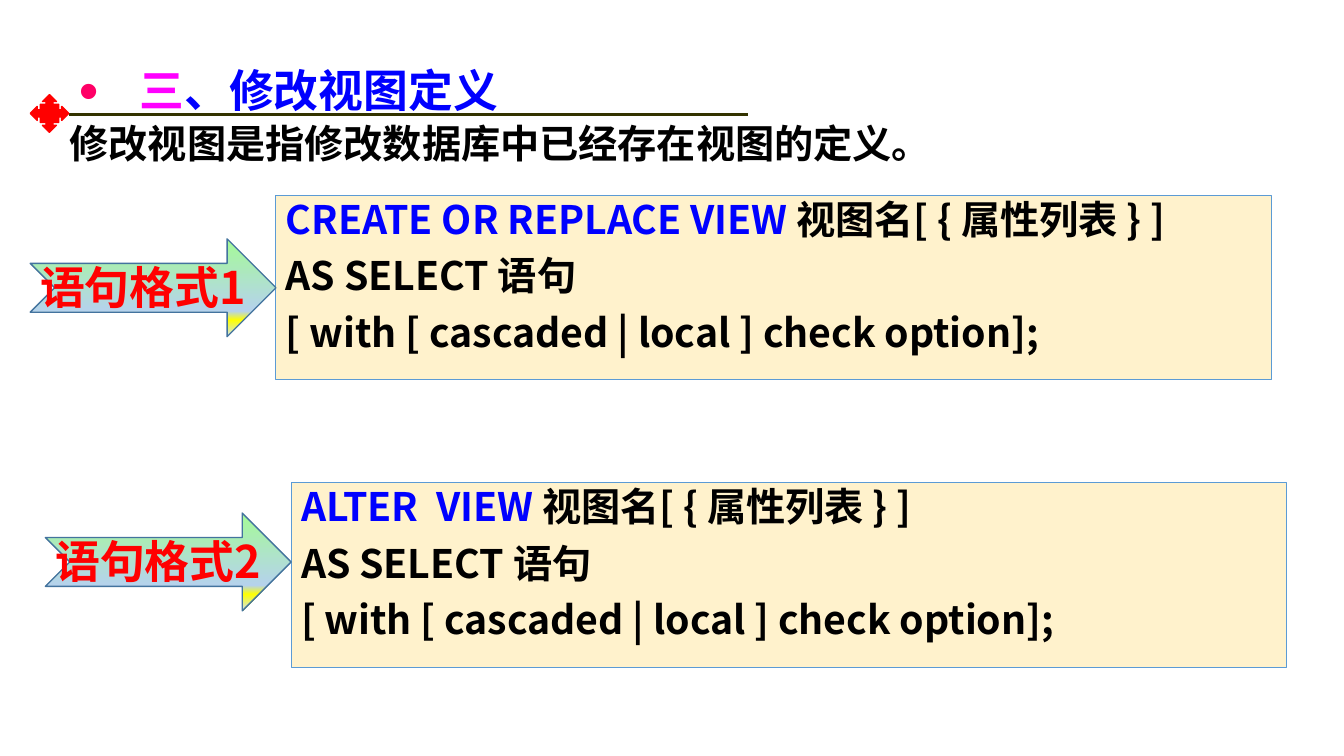
import pptx
import pptx.util
import pptx.dml.color
import pptx.enum.shapes
import pptx.enum.text
import pptx.oxml
import pptx.oxml.ns

Inches, Pt = pptx.util.Inches, pptx.util.Pt
SHAPE = pptx.enum.shapes.MSO_SHAPE
ANCHOR = pptx.enum.text.MSO_ANCHOR
NS = pptx.oxml.ns.nsdecls("a")
FONT = "Noto Sans CJK SC"
UNIT = 0.1
BLUE, BLACK, RED = "0000FF", "000000", "FF0000"
ARROW_STOPS = [(0, "A5FB97"), (74, "B5D2EC"), (83, "FFFF00"), (100, "CEE1F2")]


def color(value):
    return pptx.dml.color.RGBColor.from_string(value)


def xml(text):
    return pptx.oxml.parse_xml(text.replace(">", f" {NS}>", 1))


def within(box, x, y, w, h):
    left, top, width, height = box
    return left + x * width, top + y * height, w * width, h * height


def lengths(box):
    return [Inches(v * UNIT) for v in box]


def style(sp, line, weight, fill=None):
    sp.shadow.inherit = False
    sp.line.color.rgb = color(line)
    sp.line.width = Pt(weight)
    if fill:
        sp.fill.solid()
        sp.fill.fore_color.rgb = color(fill)


def write(sp, paragraphs, size, anchor=ANCHOR.TOP, **spacing):
    tf = sp.text_frame
    frame = {"word_wrap": True, "vertical_anchor": anchor,
             "auto_size": pptx.enum.text.MSO_AUTO_SIZE.NONE}
    for name, value in frame.items():
        setattr(tf, name, value)
    for i, runs in enumerate(paragraphs):
        p = tf.add_paragraph() if i else tf.paragraphs[0]
        p.alignment = pptx.enum.text.PP_ALIGN.LEFT
        for name, value in spacing.items():
            setattr(p, name, value)
        for text, hue in runs:
            r = p.add_run()
            r.text = text
            for name, value in {"size": Pt(size), "bold": True, "name": FONT}.items():
                setattr(r.font, name, value)
            r.font.color.rgb = color(hue)
            r.font._element.append(xml(f'<a:ea typeface="{FONT}"></a:ea>'))


def add_bullet(p, hue, percent, indent):
    pPr = p._p.get_or_add_pPr()
    pPr.set("marL", str(Inches(indent)))
    pPr.set("indent", str(-Inches(indent)))
    for part in (f'<a:buClr><a:srgbClr val="{hue}"/></a:buClr>',
                 f'<a:buSzPct val="{percent * 1000}"></a:buSzPct>',
                 '<a:buFont typeface="Arial"></a:buFont>',
                 '<a:buChar char="•"></a:buChar>'):
        pPr.append(xml(part))


def gradient(sp, stops):
    sp.fill.gradient()
    fill = sp._element.spPr.find(pptx.oxml.ns.qn("a:gradFill"))
    marks = "".join(f'<a:gs pos="{at * 1000}"><a:srgbClr val="{hue}"/></a:gs>'
                    for at, hue in stops)
    fill.getparent().replace(fill, xml(
        f'<a:gradFill rotWithShape="1"><a:gsLst>{marks}</a:gsLst>'
        '<a:lin ang="5400000" scaled="1"/></a:gradFill>'))


def heading(s, box, title_runs, sentence):
    title = s.shapes.title
    names = ("left", "top", "width", "height")
    for name, value in zip(names, lengths(within(box, 0.03, 0, 0.36, 0.66))):
        setattr(title, name, value)
    write(title, [title_runs], 32, ANCHOR.MIDDLE, line_spacing=0.9)
    add_bullet(title.text_frame.paragraphs[0], "FF0066", 125, 0.5)

    x, y, w, h = lengths(within(box, 0.03, 0.51, 0.53, 0))
    rule = s.shapes.add_connector(
        pptx.enum.shapes.MSO_CONNECTOR.STRAIGHT, x, y, x + w, y)
    rule.line.color.rgb = color("333300")
    rule.line.width = Pt(2)
    rule._element.spPr.append(xml("<a:effectLst></a:effectLst>"))

    marker = s.shapes.add_shape(SHAPE.QUAD_ARROW_CALLOUT,
                                *lengths(within(box, 0, 0.34, 0.03, 0.32)))
    style(marker, RED, 1, RED)
    tb = s.shapes.add_textbox(*lengths(within(box, 0.023, 0.51, 0.977, 0.49)))
    write(tb, [[(sentence, BLACK)]], 28)


def statement(s, box, label, keyword, arrow_top):
    panel = s.shapes.add_shape(SHAPE.RECTANGLE, *lengths(within(box, 0.198, 0, 0.802, 1)))
    style(panel, "5B9BD5", 0.75, "FFF2CC")
    write(panel, [
        [(keyword, BLUE), (" 视图名[ { 属性列表 } ]", BLACK)],
        [("AS SELECT 语句", BLACK)],
        [("[ with [ cascaded | local ] check option];", BLACK)],
    ], 28, line_spacing=0.9, space_before=Pt(10))

    group = s.shapes.add_group_shape()
    arrow_box = within(box, 0, arrow_top, 0.198, 0.53)
    arrow = group.shapes.add_shape(SHAPE.NOTCHED_RIGHT_ARROW, *lengths(arrow_box))
    style(arrow, "43739E", 1)
    gradient(arrow, ARROW_STOPS)
    tb = group.shapes.add_textbox(*lengths(within(arrow_box, 0, 0.165, 0.963, 0.66)))
    write(tb, [[(label, RED)]], 32)


prs = pptx.Presentation()
prs.slide_width, prs.slide_height = Inches(13.33), Inches(7.5)
s = prs.slides.add_slide(prs.slide_layouts[5])
heading(s, (3, 5.4, 127.1, 11.7),
        [(" 三", "FF00FF"), ("、修改视图定义", BLUE)],
        "修改视图是指修改数据库中已经存在视图的定义。")
statement(s, (3, 19.4, 123.1, 18.3), "语句格式1", "CREATE OR REPLACE VIEW", 0.235)
statement(s, (4.5, 47.9, 123.1, 18.3), "语句格式2", "ALTER  VIEW", 0.164)
prs.save("out.pptx")
